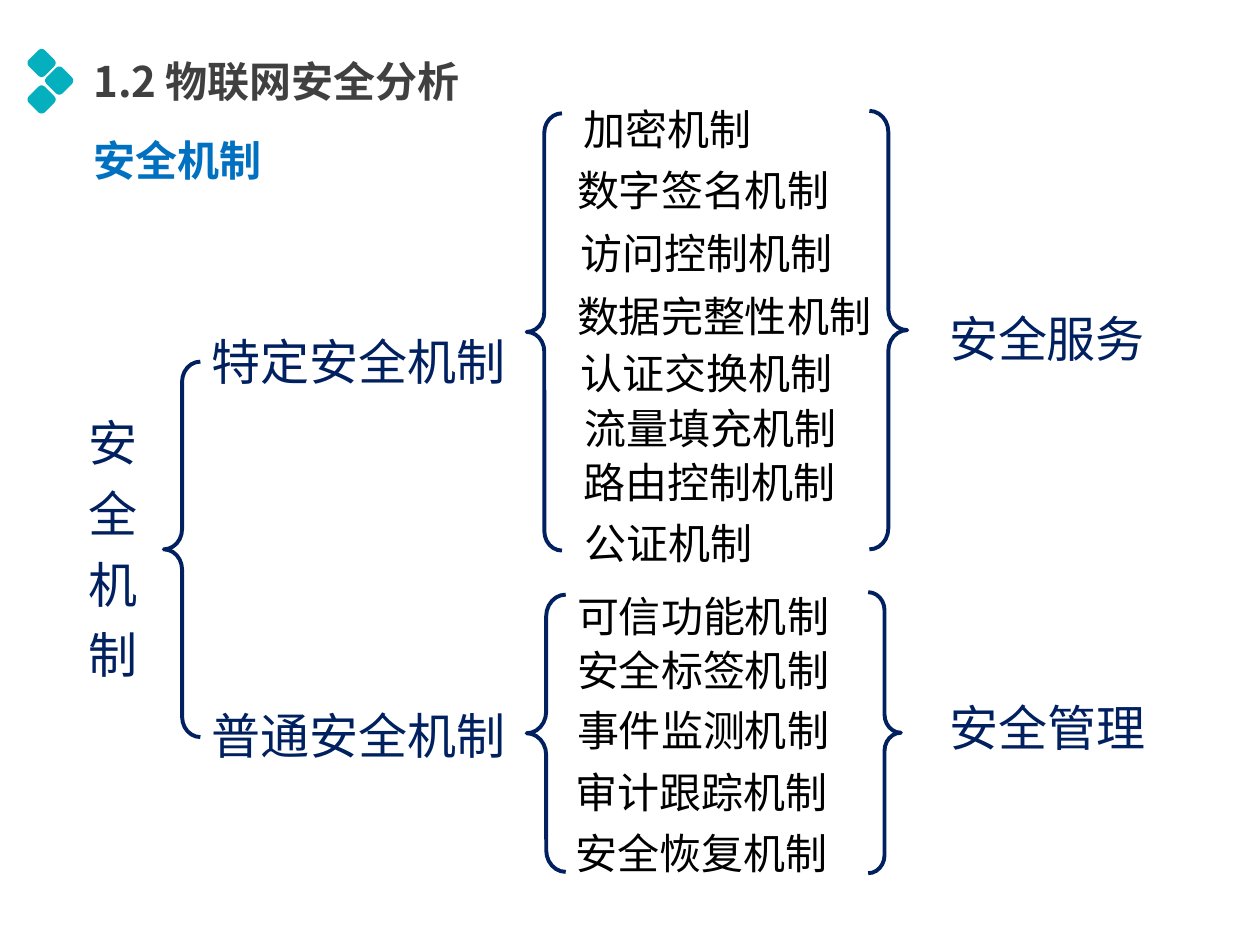
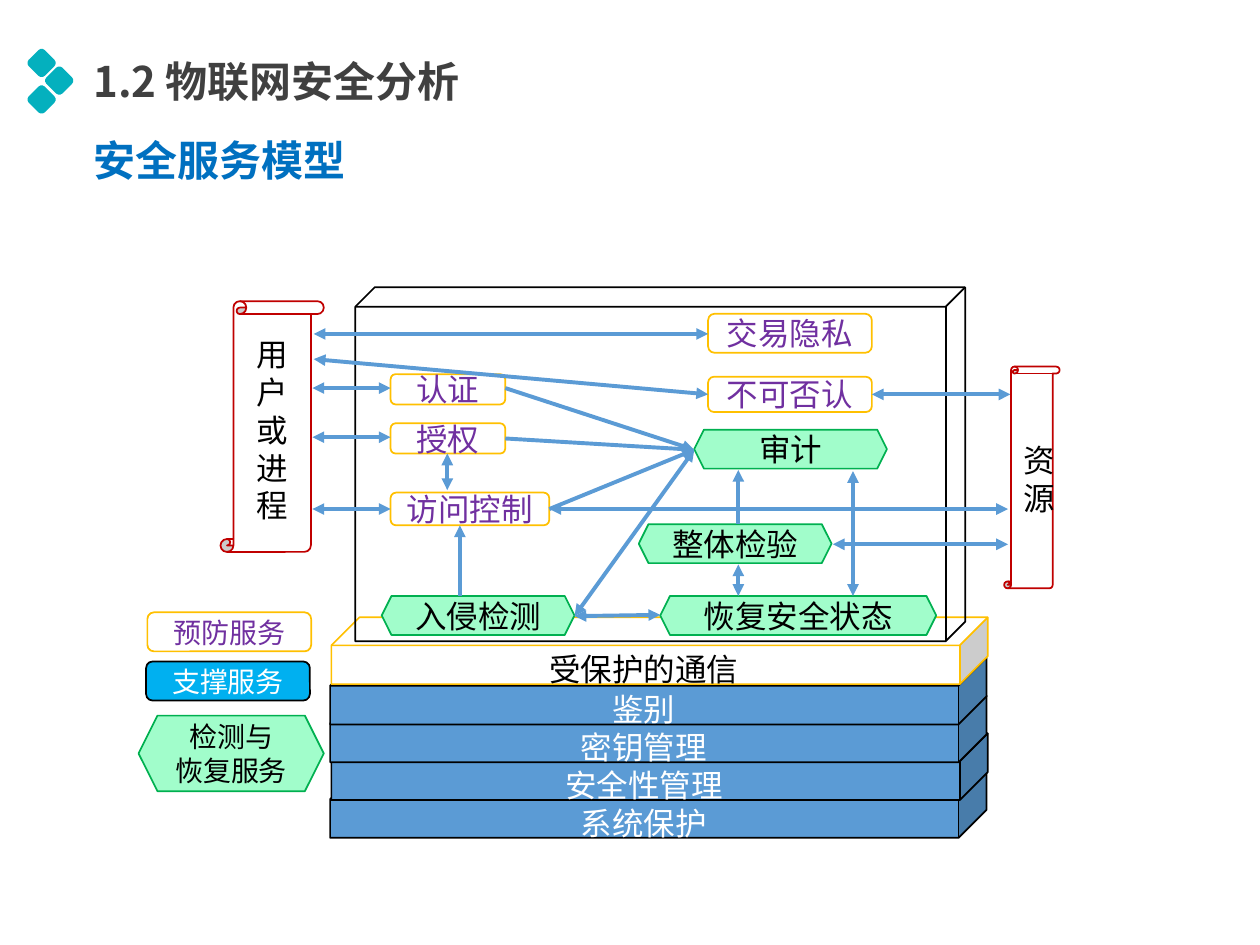
from lxml import etree
from pptx import Presentation
from pptx.dml.color import RGBColor
from pptx.enum.shapes import MSO_CONNECTOR, MSO_SHAPE
from pptx.enum.text import MSO_ANCHOR, MSO_AUTO_SIZE, PP_ALIGN
from pptx.oxml.ns import qn
from pptx.util import Inches, Pt

LEFT, CENTER, JUSTIFY = PP_ALIGN.LEFT, PP_ALIGN.CENTER, PP_ALIGN.JUSTIFY
TOP, MIDDLE = MSO_ANCHOR.TOP, MSO_ANCHOR.MIDDLE
ROUNDED, HEXAGON = MSO_SHAPE.ROUNDED_RECTANGLE, MSO_SHAPE.HEXAGON
BRACE, CUBE, SCROLL = MSO_SHAPE.LEFT_BRACE, MSO_SHAPE.CUBE, MSO_SHAPE.VERTICAL_SCROLL

SC, JP = "Noto Sans CJK SC", "Noto Sans CJK JP"
COLORS = {
    "teal": "04B0BE", "title": "404040", "subtitle": "0070C0", "navy": "002060",
    "black": "000000", "white": "FFFFFF", "blue": "5B9BD5", "gold": "FFC000",
    "purple": "7030A0", "mint": "A1FDCB", "green": "00B050", "sky": "00B0F0",
    "red": "C00000",
}
TITLE_INSETS = (0.07, 0.04, 0.07, 0.04)
LABEL_INSETS = (0.06, 0, 0.18, 0)
# fill, line and text colour of each kind of service
PREVENTION = ("white", "gold", "purple")
SUPPORT = ("sky", "black", "white")
DETECTION = ("mint", "green", "black")
ACTOR = ("white", "red", "black")


def rgb(name):
    return RGBColor.from_string(COLORS[name])


def write(frame, text, size=18, font=JP, color="black", bold=False, align=CENTER,
          anchor=MIDDLE, spacing=None, insets=None):
    """Fill a text frame, one paragraph for each line of text."""
    frame.word_wrap = True
    frame.vertical_anchor = anchor
    if insets:
        (frame.margin_left, frame.margin_top,
         frame.margin_right, frame.margin_bottom) = map(Inches, insets)
    for number, line in enumerate(text.split("\n")):
        paragraph = frame.add_paragraph() if number else frame.paragraphs[0]
        paragraph.alignment = align
        if spacing:
            paragraph.line_spacing = spacing
        run = paragraph.add_run()
        run.text = line
        run.font.size, run.font.bold, run.font.name = Pt(size), bold, font
        run.font.color.rgb = rgb(color)
        east_asian = etree.SubElement(run.font._element, qn("a:ea"))
        east_asian.set("typeface", font)


class Deck:
    def __init__(self):
        self.presentation = Presentation()
        self.presentation.slide_width = Inches(10)
        self.presentation.slide_height = Inches(7.5)
        self.slide = None

    def new_slide(self, subtitle):
        blank = self.presentation.slide_layouts[6]
        self.slide = self.presentation.slides.add_slide(blank)
        self.heading(subtitle, 1.03, 2.56, "subtitle")
        side = 0.18
        for x, y in ((0.33, 0.5), (0.47, 0.64), (0.33, 0.79)):
            self.shape(ROUNDED, (x - side / 2, y - side / 2, side, side),
                       fill="teal", adjust=0.2, rotation=45)
        self.heading("1.2 物联网安全分析", 0.4, 3.45, "title")

    def text(self, text, box, **style):
        frame = self.slide.shapes.add_textbox(*map(Inches, box)).text_frame
        write(frame, text, **style)
        return frame

    def heading(self, text, top, width, color):
        frame = self.text(text, (0.67, top, width, 0.48), size=24, font=SC, color=color,
                          bold=True, align=LEFT, anchor=TOP, insets=TITLE_INSETS)
        frame.auto_size = MSO_AUTO_SIZE.SHAPE_TO_FIT_TEXT

    def label(self, text, box, **style):
        self.text(text, box, spacing=1.2, insets=LABEL_INSETS, **style)

    def shape(self, kind, box, fill=None, line=None, width=1, adjust=None, rotation=0):
        shape = self.slide.shapes.add_shape(kind, *map(Inches, box))
        shape.shadow.inherit = False
        shape.rotation = rotation
        if adjust is not None:
            shape.adjustments[0] = adjust
        if fill:
            shape.fill.solid()
            shape.fill.fore_color.rgb = rgb(fill)
        else:
            shape.fill.background()
        if line:
            shape.line.color.rgb = rgb(line)
            shape.line.width = Pt(width)
        else:
            shape.line.fill.background()
        return shape

    def brace(self, box, rotation=0):
        self.shape(BRACE, box, line="navy", width=2.25, adjust=0.554, rotation=rotation)

    def service(self, kind, text, box, colors, size=18):
        fill, line, color = colors
        shape = self.shape(kind, box, fill, line)
        write(shape.text_frame, text, size=size, color=color)

    def arrow(self, start, end, both=True):
        link = self.slide.shapes.add_connector(
            MSO_CONNECTOR.STRAIGHT, *map(Inches, (*start, *end)))
        link.line.color.rgb = rgb("blue")
        link.line.width = Pt(2.25)
        outline = link.line._get_or_add_ln()
        for tag in ("a:headEnd", "a:tailEnd") if both else ("a:tailEnd",):
            etree.SubElement(outline, qn(tag)).set("type", "triangle")
        etree.SubElement(link._element.spPr, qn("a:effectLst"))


def build_mechanisms(deck):
    deck.new_slide("安全机制")
    for text, box in (
        ("安全机制", (0.64, 2.87, 0.61, 2.87)),
        ("特定安全机制", (1.51, 2.55, 2.79, 0.54)),
        ("普通安全机制", (1.51, 5.5, 2.79, 0.57)),
        ("安全服务", (7.39, 2.17, 1.96, 0.93)),
        ("安全管理", (7.39, 5.2, 1.97, 1.04)),
    ):
        deck.label(text, box, size=28, font=SC, color="navy")

    for text, left, top in (
        ("加密机制", 4.57, 0.74), ("数字签名机制", 4.52, 1.22),
        ("访问控制机制", 4.55, 1.72), ("数据完整性机制", 4.52, 2.22),
        ("认证交换机制", 4.55, 2.67), ("流量填充机制", 4.58, 3.11),
        ("路由控制机制", 4.57, 3.54), ("公证机制", 4.58, 4.02),
        ("可信功能机制", 4.52, 4.6), ("安全标签机制", 4.52, 5.03),
        ("事件监测机制", 4.52, 5.51), ("审计跟踪机制", 4.51, 6),
        ("安全恢复机制", 4.51, 6.48),
    ):
        deck.label(text, (left, top, 2.86, 0.49), size=24, font=SC, align=JUSTIFY)

    for box in ((1.3, 2.87, 0.29, 2.98), (4.18, 0.9, 0.28, 3.47), (4.18, 4.72, 0.31, 2.2)):
        deck.brace(box)
    for box in ((6.9, 0.88, 0.3, 3.48), (6.89, 4.7, 0.26, 2.23)):
        deck.brace(box, rotation=180)


def build_service_model(deck):
    deck.new_slide("安全服务模型")

    support, protected = ("blue", "black", "white"), ("white", "gold", "black")
    for text, left, top, (fill, line, color) in (
        ("系统保护", 2.62, 6.12, support), ("安全性管理", 2.63, 5.82, support),
        ("密钥管理", 2.62, 5.52, support), ("鉴别", 2.62, 5.22, support),
        ("受保护的通信", 2.63, 4.9, protected),
    ):
        deck.shape(CUBE, (left, top, 5.21, 0.53), fill, line, adjust=0.42)
        deck.label(text, (3.81, top + 0.24, 2.72, 0.28), color=color)
    deck.shape(CUBE, (2.82, 2.28, 4.84, 2.81), line="black", adjust=0.055)

    for text, box in (
        ("认证", (3.1, 2.97, 0.91, 0.24)),
        ("授权", (3.1, 3.36, 0.91, 0.24)),
        ("访问控制", (3.1, 3.91, 1.26, 0.26)),
        ("交易隐私", (5.62, 2.49, 1.3, 0.31)),
        ("不可否认", (5.62, 2.99, 1.3, 0.28)),
    ):
        deck.service(ROUNDED, text, box, PREVENTION)
    for text, left, top, width in (
        ("入侵检测", 3.03, 4.73, 1.53), ("审计", 5.51, 3.41, 1.53),
        ("整体检验", 5.07, 4.16, 1.53), ("恢复安全状态", 5.24, 4.73, 2.19),
    ):
        deck.service(HEXAGON, text, (left, top, width, 0.31), DETECTION)

    audit, access, intrusion = (5.51, 3.57), (4.36, 4.04), (4.56, 4.89)
    for start, end in (
        ((2.49, 2.65), (5.62, 2.65)),
        ((2.48, 3.08), (3.1, 3.08)),
        ((2.48, 3.47), (3.1, 3.47)),
        ((2.48, 4.04), (3.1, 4.04)),
        ((3.55, 3.89), (3.55, 3.6)),
        ((6.77, 4.73), (6.77, 3.74)),
        ((5.86, 4.73), (5.86, 4.48)),
        ((2.49, 2.85), (5.62, 3.13)),
        (intrusion, audit),
        (intrusion, (5.24, 4.88)),
        ((6.92, 3.13), (8.02, 3.13)),
        (access, (8, 4.04)),
        ((6.61, 4.32), (8, 4.32)),
    ):
        deck.arrow(start, end)
    for start, end in (
        ((3.65, 4.73), (3.65, 4.17)),
        ((5.86, 4.16), (5.86, 3.73)),
        ((4.01, 3.08), audit),
        ((4.01, 3.48), audit),
        (access, audit),
    ):
        deck.arrow(start, end, both=False)

    for kind, text, box, colors in (
        (ROUNDED, "预防服务", (1.17, 4.86, 1.3, 0.31), PREVENTION),
        (ROUNDED, "支撑服务", (1.16, 5.25, 1.3, 0.31), SUPPORT),
        (HEXAGON, "检测与\n恢复服务", (1.1, 5.68, 1.47, 0.6), DETECTION),
    ):
        deck.service(kind, text, box, colors, size=16)
    deck.service(SCROLL, "资源", (7.97, 2.91, 0.44, 1.76), ACTOR)
    deck.service(SCROLL, "用户\n或\n进程", (1.75, 2.39, 0.82, 1.99), ACTOR)


def main():
    deck = Deck()
    build_mechanisms(deck)
    build_service_model(deck)
    deck.presentation.save("out.pptx")


if __name__ == "__main__":
    main()
